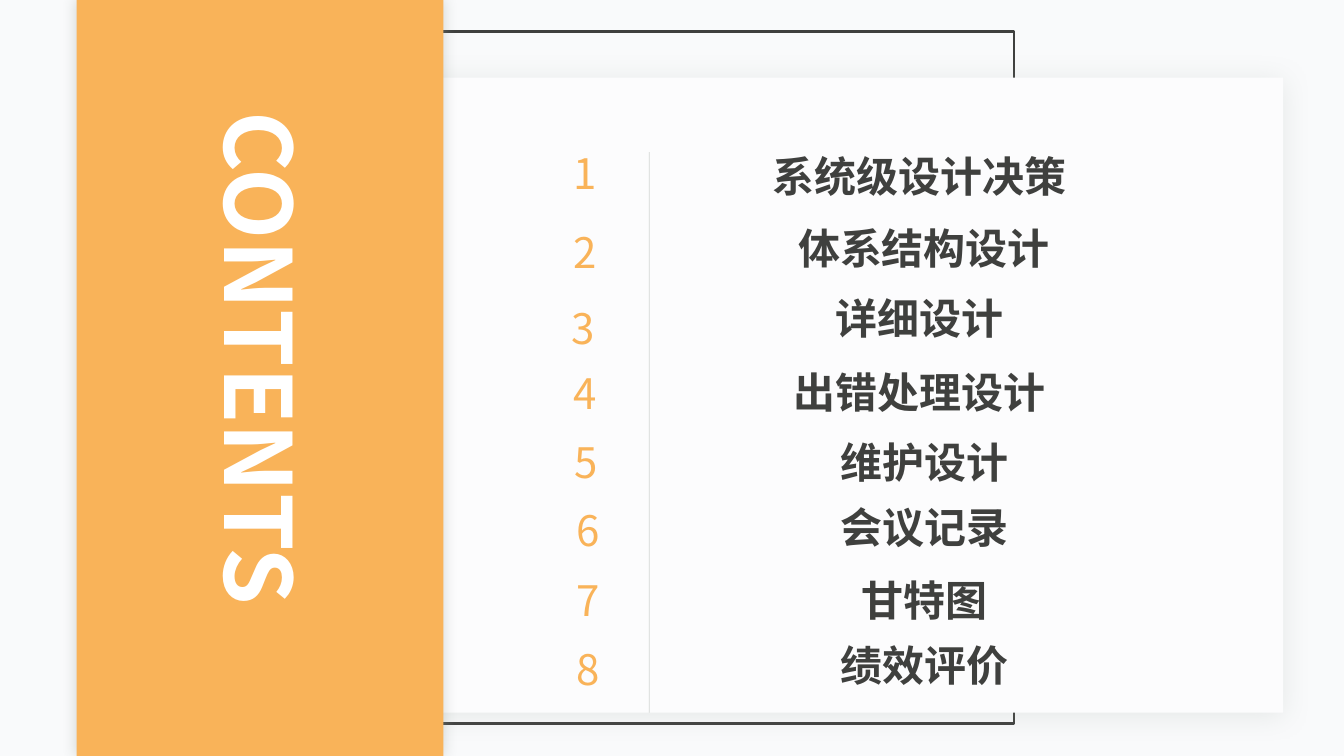
from lxml import etree
from pptx import Presentation
from pptx import util as u
from pptx.dml import color
from pptx.enum import shapes, text
from pptx.oxml import ns

Pt = u.Pt
DARK, ORANGE, GREY, WHITE = "3F403E", "F9B359", "969F98", "FFFFFF"
BACKGROUND, CARD = "F9FAFB", "FCFCFD"

# Label, centre and top of the label, left and top of its number
ENTRIES = [
    ("系统级设计决策", 657, 103.7, 406, 101.5),
    ("体系结构设计", 660, 155.5, 406, 158.4),
    ("详细设计", 656.7, 205.2, 404.6, 212.4),
    ("出错处理设计", 657, 258.5, 406, 259.2),
    ("维护设计", 660.3, 308.2, 406.8, 308.2),
    ("会议记录", 660.3, 355, 408.2, 357.1),
    ("甘特图", 660.3, 406.8, 408.2, 406.8),
    ("绩效评价", 660.3, 453.6, 408.2, 456.5),
]


def rgb(value):
    return color.RGBColor.from_string(value)


def add_child(parent, tag, **attributes):
    child = etree.SubElement(parent, ns.qn(tag))
    for name, value in attributes.items():
        child.set(name, str(value))
    return child


def write(shape, content, size=30, colour=DARK, bold=False, spacing=None,
          align=text.PP_ALIGN.CENTER):
    """Fill a shape with one formatted line of text."""
    frame = shape.text_frame
    frame.word_wrap = False
    frame.auto_size = text.MSO_AUTO_SIZE.SHAPE_TO_FIT_TEXT
    frame.vertical_anchor = text.MSO_ANCHOR.TOP
    frame.margin_left = frame.margin_right = Pt(3.6)
    frame.margin_top = frame.margin_bottom = Pt(3.6)
    paragraph = frame.paragraphs[0]
    paragraph.alignment = align
    run = paragraph.add_run()
    run.text = content
    font = run.font
    font.size, font.bold, font.name = Pt(size), bold, Builder.FONT
    font.color.rgb = rgb(colour)
    properties = font._element if hasattr(font, "_element") else run._r.get_or_add_rPr()
    add_child(properties, "a:ea", typeface=Builder.FONT)
    if spacing is not None:
        properties.set("spc", str(spacing * 100))


class Builder:
    FONT = "Noto Sans CJK SC"

    def __init__(self, presentation):
        self.slide = presentation.slides.add_slide(presentation.slide_layouts[5])
        fill = self.slide.background.fill
        fill.solid()
        fill.fore_color.rgb = rgb(BACKGROUND)

    def rectangle(self, left, top, width, height, fill=None, line=None):
        shape = self.slide.shapes.add_shape(
            shapes.MSO_SHAPE.RECTANGLE, Pt(left), Pt(top), Pt(width), Pt(height))
        shape.shadow.inherit = False
        if fill:
            shape.fill.solid()
            shape.fill.fore_color.rgb = rgb(fill)
        else:
            shape.fill.background()
        if line:
            shape.line.color.rgb = rgb(line)
            shape.line.width = Pt(2)
        else:
            shape.line.fill.background()
        return shape

    def shadow(self, shape, opacity, blur, distance, angle):
        effects = shape.element.spPr.find(ns.qn("a:effectLst"))
        outer = add_child(effects, "a:outerShdw", blurRad=Pt(blur), dist=Pt(distance),
                          dir=angle * 60000, algn="ctr", rotWithShape=0)
        tint = add_child(outer, "a:srgbClr", val=GREY)
        add_child(tint, "a:alpha", val=opacity * 1000)

    def divider(self, x, top, bottom):
        line = self.slide.shapes.add_connector(
            shapes.MSO_CONNECTOR.STRAIGHT, Pt(x), Pt(top), Pt(x), Pt(bottom))
        line.line.color.rgb = rgb(GREY)
        line.line.width = Pt(0.5)
        properties = line.element.spPr
        tint = properties.find(".//" + ns.qn("a:srgbClr"))
        add_child(tint, "a:alpha", val=40000)
        add_child(properties, "a:effectLst")

    def label(self, content, left, top, width, **style):
        box = self.slide.shapes.add_textbox(Pt(left), Pt(top), Pt(width), Pt(44))
        write(box, content, **style)

    def title(self, content, left, top, width, height, **style):
        shape = self.slide.shapes.title
        shape.left, shape.top = Pt(left), Pt(top)
        shape.width, shape.height = Pt(width), Pt(height)
        shape.rotation = 90
        write(shape, content, **style)
        return shape


def main():
    presentation = Presentation()
    presentation.slide_width, presentation.slide_height = Pt(960), Pt(540)
    builder = Builder(presentation)

    # Frame and card
    builder.rectangle(182.9, 22.3, 541.4, 494.6, line=DARK)
    card = builder.rectangle(180.7, 55.4, 735.8, 453.6, fill=CARD)
    builder.shadow(card, opacity=20, blur=20, distance=3, angle=90)
    builder.divider(463.7, 108.7, 509)

    # Side panel with the vertical title in front of it
    panel = builder.rectangle(54.7, 0, 262.1, 540, fill=ORANGE)
    builder.shadow(panel, opacity=40, blur=10, distance=0, angle=0)
    title = builder.title("CONTENTS", 0.7, 218.9, 371.5, 86.4, size=66,
                          colour=WHITE, bold=True, align=text.PP_ALIGN.LEFT)
    panel.element.addnext(title.element)

    # Numbered entries
    for number, (label, centre, top, number_left, number_top) in enumerate(ENTRIES, 1):
        width = 30 * len(label) + 10
        builder.label(str(number), number_left, number_top, 22.3,
                      colour=ORANGE, spacing=-3)
        builder.label(label, centre - width / 2, top, width, bold=True)

    presentation.save("out.pptx")


if __name__ == "__main__":
    main()
